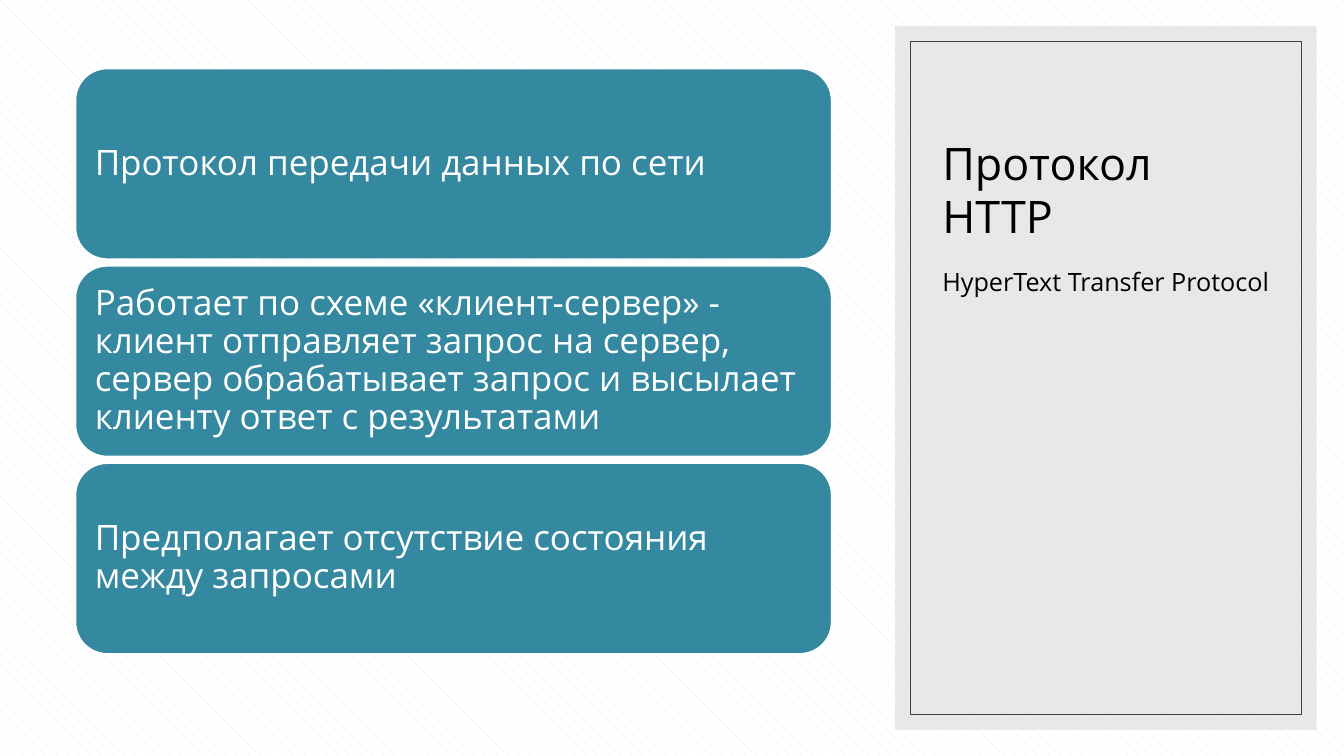
from lxml.etree import SubElement
from pptx import Presentation
from pptx.dml.color import RGBColor
from pptx.enum.dml import MSO_PATTERN
from pptx.enum.shapes import MSO_SHAPE
from pptx.enum.text import MSO_ANCHOR, PP_ALIGN
from pptx.oxml.ns import qn
from pptx.util import Pt

FONT = "Open Sans"
WHITE = RGBColor(0xFF, 0xFF, 0xFF)
BLACK = RGBColor(0, 0, 0)
TEAL = RGBColor(0x34, 0x88, 0xA0)
GRAY = RGBColor(0xD9, 0xD9, 0xD9)
DARK = RGBColor(0x40, 0x40, 0x40)
MINT = RGBColor(0xDE, 0xF4, 0xF7)

FACTS = [
    "Протокол передачи данных по сети",
    "Работает по схеме «клиент-сервер» - клиент отправляет запрос на сервер, "
    "сервер обрабатывает запрос и высылает клиенту ответ с результатами",
    "Предполагает отсутствие состояния между запросами",
]


def add_box(slide, kind, box, fill=None, line=None, width=1):
    """Add a preset shape with an optional fill and line."""
    shape = slide.shapes.add_shape(kind, *map(Pt, box))
    shape.shadow.inherit = False
    if fill is None:
        shape.fill.background()
    else:
        shape.fill.solid()
        shape.fill.fore_color.rgb = fill
    if line is None:
        shape.line.fill.background()
    else:
        shape.line.color.rgb = line
        shape.line.width = Pt(width)
    return shape


def set_text(shape, text, size, color, anchor, space=1.0):
    """Write one left-aligned paragraph into a shape."""
    frame = shape.text_frame
    frame.text = text
    frame.word_wrap = True
    frame.vertical_anchor = anchor
    para = frame.paragraphs[0]
    para.alignment = PP_ALIGN.LEFT
    para.line_spacing = space
    font = para.runs[0].font
    font.name, font.size, font.color.rgb = FONT, Pt(size), color
    return para


def add_cards(slide, box, gap=4.9):
    """Stack one rounded card per fact, evenly spaced."""
    left, top, width, height = box
    tall = (height - gap * (len(FACTS) - 1)) / len(FACTS)
    for row, fact in enumerate(FACTS):
        place = left, top + row * (tall + gap), width, tall
        card = add_box(slide, MSO_SHAPE.ROUNDED_RECTANGLE, place, TEAL, WHITE)
        set_text(card, fact, 25, WHITE, MSO_ANCHOR.MIDDLE, 0.9)


def add_panel(slide, box, inset=10.8):
    """Draw the framed side panel with its title and subtitle."""
    left, top, width, height = box
    back = add_box(slide, MSO_SHAPE.RECTANGLE, box, GRAY)
    tint = back.fill._xPr.find(qn("a:solidFill"))[0]
    SubElement(tint, qn("a:alpha"), val="60000")
    inner = left + inset, top + inset, width - 2 * inset, height - 2 * inset
    add_box(slide, MSO_SHAPE.RECTANGLE, inner, line=DARK, width=0.5)
    side, wide = left + 26.6, 249.3
    title = slide.shapes.add_textbox(
        Pt(side), Pt(top + 28.8), Pt(wide), Pt(129.6))
    set_text(title, "Протокол HTTP", 32, BLACK, MSO_ANCHOR.BOTTOM)
    note = slide.shapes.add_textbox(
        Pt(side), Pt(top + 165.6), Pt(wide), Pt(283.7))
    para = set_text(note, "HyperText Transfer Protocol", 18, BLACK,
                    MSO_ANCHOR.TOP, 1.1)
    para.space_before = Pt(8)


def main():
    """Build the slide and save it."""
    deck = Presentation()
    deck.slide_width, deck.slide_height = Pt(960), Pt(540)
    slide = deck.slides.add_slide(deck.slide_layouts[6])
    fill = slide.background.fill
    fill.patterned()
    fill.pattern = MSO_PATTERN.SHINGLE
    fill.fore_color.rgb = MINT
    fill.back_color.rgb = WHITE
    add_panel(slide, (639.4, 18.7, 301, 502.6))
    add_cards(slide, (54, 49, 540, 418))
    deck.save("out.pptx")


main()
